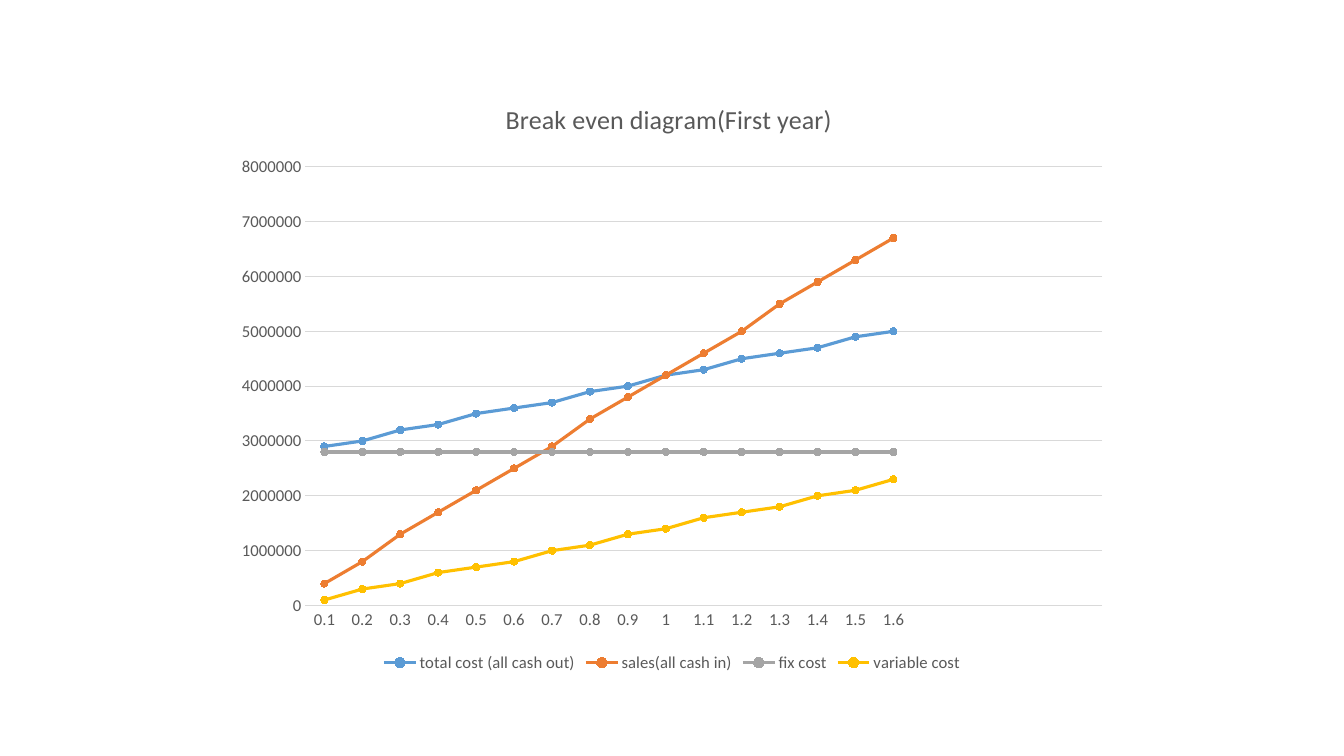
from pptx import Presentation
from pptx.chart.data import CategoryChartData
from pptx.dml.color import RGBColor
from pptx.enum.chart import XL_CHART_TYPE as ChartType
from pptx.enum.chart import XL_LEGEND_POSITION as LegendPosition
from pptx.enum.chart import XL_MARKER_STYLE as MarkerStyle
from pptx.enum.chart import XL_TICK_MARK as TickMark
from pptx.util import Pt

BLUE = RGBColor(0x5B, 0x9B, 0xD5)
ORANGE = RGBColor(0xED, 0x7D, 0x31)
GRAY = RGBColor(0xA5, 0xA5, 0xA5)
YELLOW = RGBColor(0xFF, 0xC0, 0x00)
TEXT = RGBColor(0x59, 0x59, 0x59)
GRID = RGBColor(0xD9, 0xD9, 0xD9)
FONT = "Calibri"

FILLED_STEPS = 16
EMPTY_STEPS = 5
FIX_COST = 2760000
VARIABLE_COST_PER_STEP = 141000
SALES_PER_STEP = 420000

COST_LINES = [
    ("total cost (all cash out)", FIX_COST, VARIABLE_COST_PER_STEP, BLUE),
    ("sales(all cash in)", 0, SALES_PER_STEP, ORANGE),
    ("fix cost", FIX_COST, 0, GRAY),
    ("variable cost", 0, VARIABLE_COST_PER_STEP, YELLOW),
]


def break_even_data():
    steps = range(1, FILLED_STEPS + 1)
    data = CategoryChartData()
    data.categories = [f"{step / 10:g}" for step in steps] + [""] * EMPTY_STEPS
    for name, start, slope, _ in COST_LINES:
        values = [round(start + slope * step, -5) for step in steps]
        data.add_series(name, values + [None] * EMPTY_STEPS)
    return data


def format_font(font, size):
    font.name = FONT
    font.size = Pt(size)
    font.bold = False
    font.color.rgb = TEXT


def format_line(line, color, width):
    line.color.rgb = color
    line.width = Pt(width)


def format_axes(chart):
    for axis in (chart.category_axis, chart.value_axis):
        axis.major_tick_mark = TickMark.NONE
        axis.minor_tick_mark = TickMark.NONE
        format_font(axis.tick_labels.font, 11.9)
    format_line(chart.category_axis.format.line, GRID, 0.75)
    value_axis = chart.value_axis
    value_axis.minimum_scale = 0
    value_axis.maximum_scale = 8000000
    value_axis.major_unit = 1000000
    value_axis.format.line.fill.background()
    value_axis.has_major_gridlines = True
    format_line(value_axis.major_gridlines.format.line, GRID, 0.75)


def format_series(chart):
    for series, (_, _, _, color) in zip(chart.plots[0].series, COST_LINES):
        series.smooth = False
        format_line(series.format.line, color, 2.25)
        marker = series.marker
        marker.style = MarkerStyle.CIRCLE
        marker.size = 5
        marker.format.fill.solid()
        marker.format.fill.fore_color.rgb = color
        format_line(marker.format.line, color, 0.75)


def add_break_even_chart(slide, left, top, width, height):
    chart = slide.shapes.add_chart(
        ChartType.LINE_MARKERS, Pt(left), Pt(top), Pt(width), Pt(height), break_even_data()
    ).chart
    format_font(chart.font, 11.9)
    chart.plots[0].vary_by_categories = False

    chart.has_title = True
    title = chart.chart_title
    title.include_in_layout = False
    title.text_frame.text = "Break even diagram(First year) "
    format_font(title.text_frame.paragraphs[0].runs[0].font, 18.6)

    chart.has_legend = True
    chart.legend.position = LegendPosition.BOTTOM
    chart.legend.include_in_layout = False
    format_font(chart.legend.font, 11.9)

    format_axes(chart)
    format_series(chart)


def main():
    presentation = Presentation()
    presentation.slide_width = Pt(960)
    presentation.slide_height = Pt(540)
    slide = presentation.slides.add_slide(presentation.slide_layouts[6])
    add_break_even_chart(slide, 160, 56.7, 640, 426.7)
    presentation.save("out.pptx")


if __name__ == "__main__":
    main()
